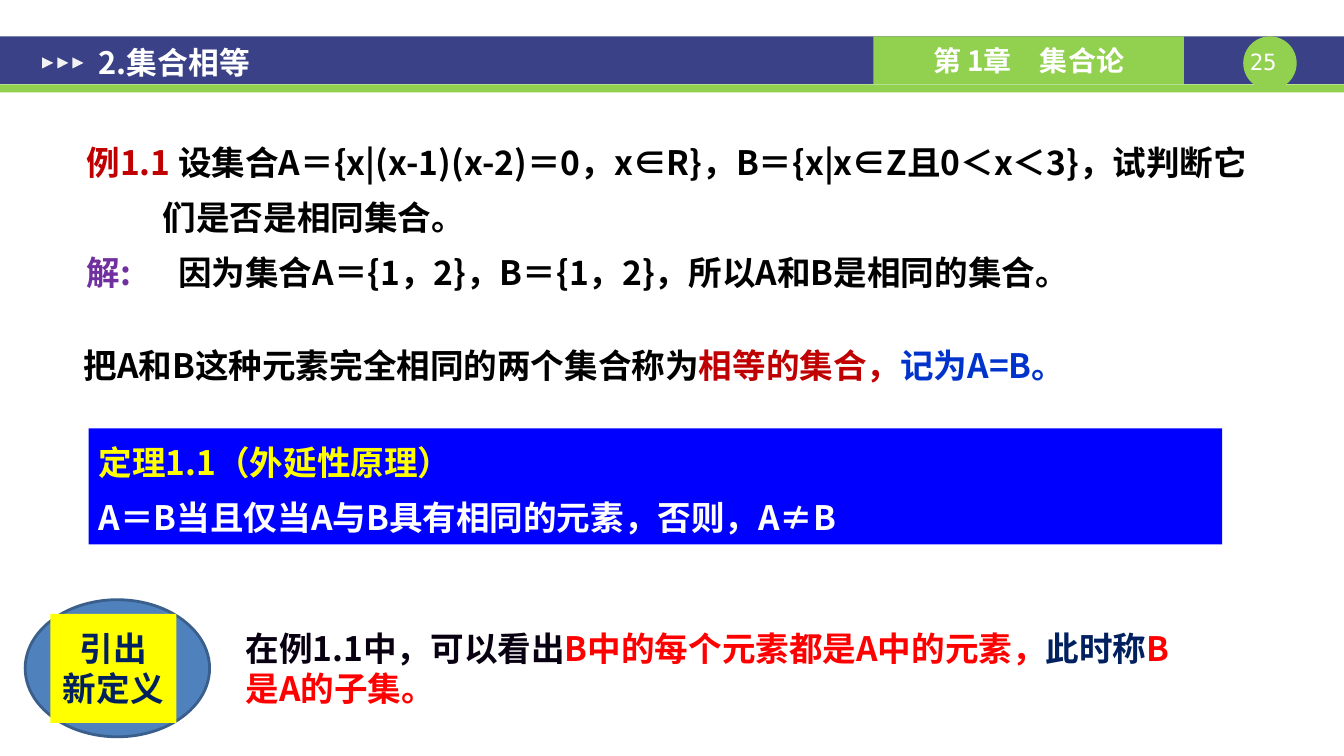
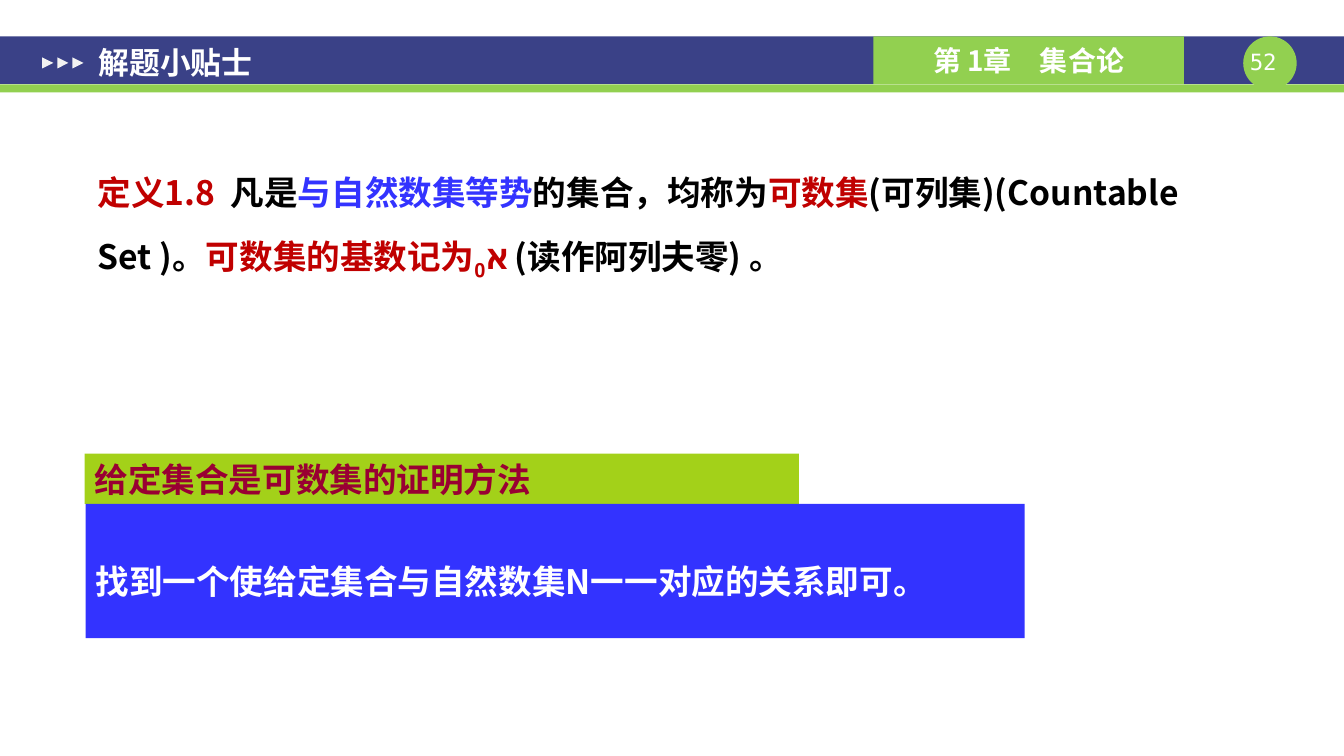
from dataclasses import dataclass

from lxml.etree import SubElement
from pptx import Presentation
from pptx.dml.color import RGBColor
from pptx.enum.shapes import MSO_SHAPE
from pptx.enum.text import MSO_ANCHOR, PP_ALIGN
from pptx.oxml.ns import qn
from pptx.util import Pt


@dataclass(frozen=True)
class Theme:
    font: str = "Noto Sans CJK SC"
    number_font: str = "DejaVu Sans Mono"
    body: int = 24
    title: int = 22
    chapter: int = 20
    number: int = 16
    band: str = "3A4187"
    green: str = "92D050"
    arrow: str = "F2F2F2"
    white: str = "FFFFFF"
    black: str = "000000"
    ink: str = "080010"
    crimson: str = "C00000"
    red: str = "FF0000"
    purple: str = "7030A0"
    link_blue: str = "0033CC"
    pure_blue: str = "0000FF"
    soft_blue: str = "3333FF"
    navy: str = "002060"
    yellow: str = "FFFF00"
    oval: str = "4F81BD"
    oval_line: str = "3A5F8C"
    lime: str = "99CC00"
    wine: str = "990033"


T = Theme()
WIDTH, HEIGHT = 960.5, 540
WIDE_INSETS = (9.4, 5)


def add_box(s, at, fill=None, kind=MSO_SHAPE.RECTANGLE):
    """Add a filled, unlined shape, or a text box when there is no fill."""
    at = [Pt(v) for v in at]
    if fill is None:
        return s.shapes.add_textbox(*at)
    sp = s.shapes.add_shape(kind, *at)
    sp.shadow.inherit = False
    sp.fill.solid()
    sp.fill.fore_color.rgb = RGBColor.from_string(fill)
    sp.line.fill.background()
    return sp


def write(sp, paragraphs, size=T.body, font=T.font, bold=True, insets=(7.2, 3.6),
          anchor=MSO_ANCHOR.TOP, align=PP_ALIGN.LEFT, spacing=None, before=None):
    """Fill a shape with paragraphs, each a list of (text, colour) runs."""
    tf = sp.text_frame
    tf.word_wrap = True
    tf.vertical_anchor = anchor
    tf.margin_left = tf.margin_right = Pt(insets[0])
    tf.margin_top = tf.margin_bottom = Pt(insets[1])
    for i, runs in enumerate(paragraphs):
        p = tf.add_paragraph() if i else tf.paragraphs[0]
        p.alignment = align
        p.line_spacing = spacing
        p.space_before = None if before is None else Pt(before)
        for text, color in runs:
            r = p.add_run()
            r.text = text
            r.font.size, r.font.name, r.font.bold = Pt(size), font, bold
            r.font.color.rgb = RGBColor.from_string(color)
            SubElement(r.font._element, qn("a:ea")).set("typeface", font)
    return tf


prs = Presentation()
prs.slide_width, prs.slide_height = Pt(WIDTH), Pt(HEIGHT)

# Shared header
slides = []
for title, number in (("2.集合相等", "25 "), ("解题小贴士", "52 ")):
    s = prs.slides.add_slide(prs.slide_layouts[6])
    slides.append(s)
    add_box(s, (0, 26, WIDTH, 34), T.band)
    add_box(s, (0, 60.2, WIDTH, 5.8), T.green)
    add_box(s, (888.5, 26, 38.2, 38.2), T.green, MSO_SHAPE.OVAL)
    write(add_box(s, (888.5, 34.6, 38.2, 19.4)), [[(number, T.white)]], T.number,
          T.number_font, False, (0, 0), align=PP_ALIGN.CENTER)
    write(add_box(s, (624.2, 26, 221.8, 34), T.green), [[("第 1章　集合论", T.white)]],
          T.chapter, anchor=MSO_ANCHOR.MIDDLE, align=PP_ALIGN.CENTER)
    for i in range(3):
        sp = add_box(s, (30.2 + 10.8 * i, 41, 7.9, 7.9), T.arrow,
                     MSO_SHAPE.ISOSCELES_TRIANGLE)
        sp.rotation = 90
    write(add_box(s, (61.2, 28.8, 417.6, 31.7)), [[(title, T.white)]], T.title,
          insets=WIDE_INSETS, anchor=MSO_ANCHOR.MIDDLE)

# Equal sets
s = slides[0]
tf = write(add_box(s, (54.7, 92.2, 899.3, 121)), [
    [("例1.1 ", T.crimson),
     ("设集合A＝{x|(x-1)(x-2)＝0，x∈R}，B＝{x|x∈Z且0＜x＜3}，试判断它", T.black)],
    [("们是否是相同集合。", T.black)],
    [("解:\t", T.purple),
     ("因为集合A＝{1，2}，B＝{1，2}，所以A和B是相同的集合。", T.black)],
], spacing=1.2, before=4.8)
for p, (left, first) in zip(tf.paragraphs, ((27, -27), (54.5, 0), (65.5, -65.5))):
    pPr = p._p.get_or_add_pPr()
    pPr.set("marL", str(Pt(left)))
    pPr.set("indent", str(Pt(first)))

write(add_box(s, (52.6, 238.3, 830.9, 38.9)), [
    [("把A和B这种元素完全相同的两个集合称为", T.black),
     ("相等的集合，", T.crimson), ("记为A=B。", T.link_blue)],
], anchor=MSO_ANCHOR.MIDDLE, spacing=1.2)

write(add_box(s, (63.4, 306, 810, 82.8), T.pure_blue), [
    [("定理1.1（外延性原理）", T.yellow)],
    [("A＝B当且仅当A与B具有相同的元素，否则，A≠B", T.white)],
], align=PP_ALIGN.JUSTIFY, spacing=1.2, before=4.8)

write(add_box(s, (168.5, 445, 689.8, 65.5)), [
    [("在例1.1中，可以看出", T.ink), ("B中的每个元素都是A中的元素，", T.red),
     ("此时称", T.navy), ("B是A的子集。", T.red)],
])

oval = add_box(s, (18, 428.4, 131.8, 97.9), T.oval, MSO_SHAPE.OVAL)
oval.line.color.rgb = RGBColor.from_string(T.oval_line)
oval.line.width = Pt(2)
write(add_box(s, (36, 438.5, 90, 77.8), T.yellow),
      [[("引出", T.navy)], [("新定义", T.navy)]],
      anchor=MSO_ANCHOR.MIDDLE, align=PP_ALIGN.CENTER)

# Countable sets
s = slides[1]
method = add_box(s, (60.5, 324, 510.5, 36), T.lime)
color = method.fill._xPr.find(qn("a:solidFill"))[0]
SubElement(color, qn("a:alpha")).set("val", "90000")
write(method, [[("给定集合是可数集的证明方法", T.wine)]])

write(add_box(s, (61.2, 360, 671, 95.8), T.soft_blue),
      [[("找到一个使给定集合与自然数集N一一对应的关系即可。", T.white)]],
      anchor=MSO_ANCHOR.MIDDLE, spacing=1.5)

tf = write(add_box(s, (60.5, 103.7, 828, 97.9)), [
    [("定义1.8  ", T.crimson), ("凡是", T.black), ("与自然数集等势", T.soft_blue),
     ("的集合，均称为", T.black), ("可数集", T.crimson),
     ("(可列集)(Countable Set )。", T.black), ("可数集的基数记为א", T.crimson),
     ("0 ", T.crimson), ("(读作阿列夫零) 。", T.black)],
], insets=WIDE_INSETS, spacing=1.5)
subscript = tf.paragraphs[0].runs[-2]
subscript.font._element.set("baseline", "-25000")

prs.save("out.pptx")
